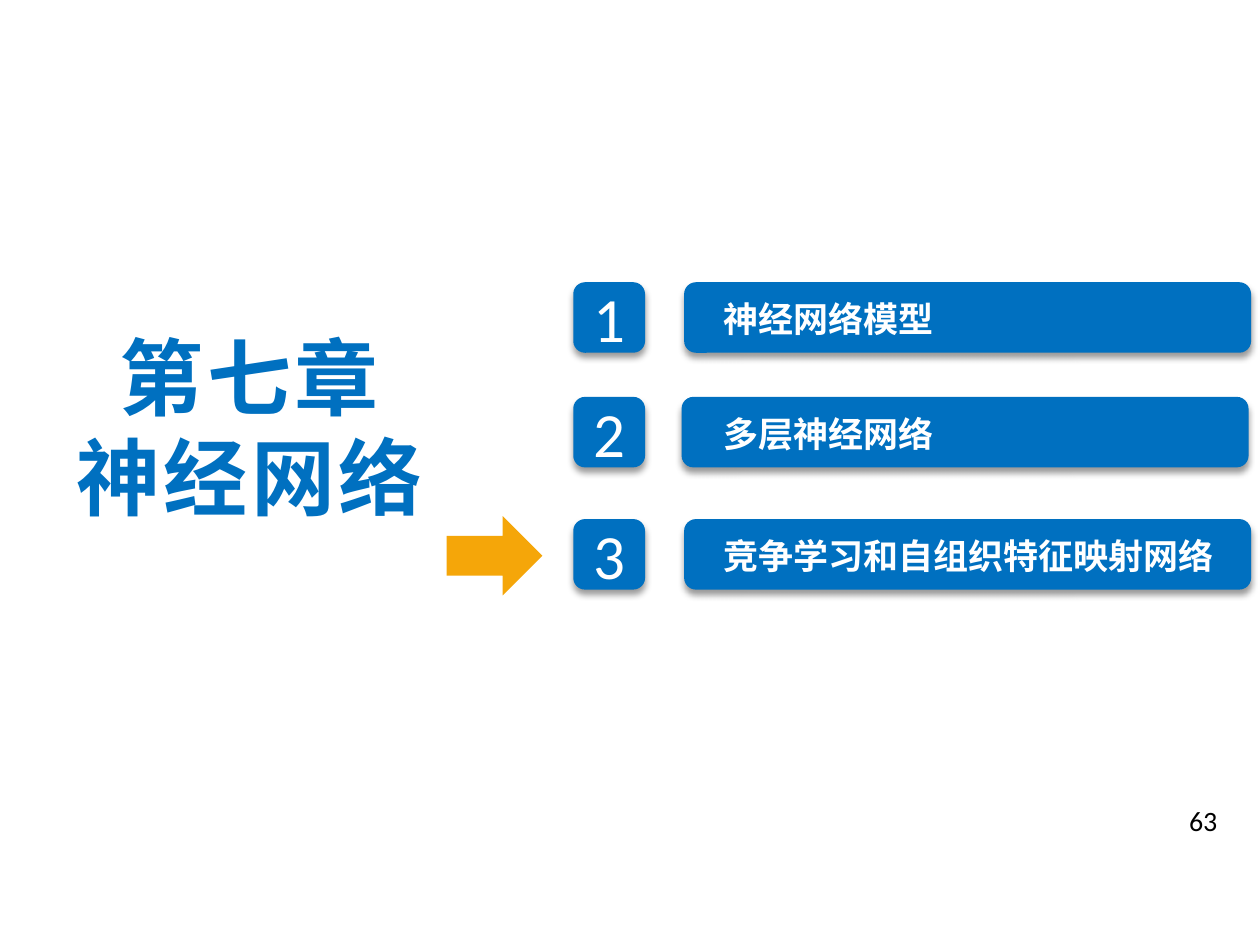
from lxml.etree import SubElement
from pptx import Presentation
from pptx.dml.color import RGBColor
from pptx.enum.shapes import MSO_SHAPE as Shape
from pptx.enum.text import MSO_ANCHOR as Anchor, PP_ALIGN as Align
from pptx.oxml.ns import qn
from pptx.util import Inches, Pt

BLUE = RGBColor(0x00, 0x70, 0xC0)
ORANGE = RGBColor(0xF5, 0xA6, 0x09)
WHITE = RGBColor(0xFF, 0xFF, 0xFF)
BLACK = RGBColor(0x00, 0x00, 0x00)
LATIN, CHINESE = "Calibri", "Noto Sans CJK SC"
WIDE_INSETS = (0.13, 0.07)

NUMBER_FORMAT = {"size": Pt(36), "name": LATIN, "bold": False}
LABEL_FORMAT = {"size": Pt(20), "name": CHINESE, "bold": True}
TITLE_FORMAT = {"size": Pt(48), "name": CHINESE, "bold": True}
PAGE_FORMAT = {"size": Pt(16), "name": LATIN, "bold": False}


def write(holder, lines, font_format, color, align, anchor=Anchor.TOP,
          insets=WIDE_INSETS, spacing=0):
    """Fill a shape's text frame with one paragraph per line."""
    frame = holder.text_frame
    side, edge = map(Inches, insets)
    frame_format = {"word_wrap": True, "vertical_anchor": anchor,
                    "margin_left": side, "margin_right": side,
                    "margin_top": edge, "margin_bottom": edge}
    for key, value in frame_format.items():
        setattr(frame, key, value)
    for index, line in enumerate(lines):
        paragraph = frame.add_paragraph() if index else frame.paragraphs[0]
        paragraph.alignment = align
        run = paragraph.add_run()
        run.text = line
        for key, value in font_format.items():
            setattr(run.font, key, value)
        run.font.color.rgb = color
        properties = run.font._element
        if spacing:
            properties.set("spc", str(spacing * 100))
        SubElement(properties, qn("a:ea"), typeface=font_format["name"])


def add_filled(shapes, kind, box, color):
    """Add a flat preset shape without an outline."""
    shape = shapes.add_shape(kind, *map(Inches, box))
    shape.shadow.inherit = False
    shape.fill.solid()
    shape.fill.fore_color.rgb = color
    shape.line.fill.background()
    return shape


def add_text(shapes, box, lines, font_format, color, align, **options):
    """Add a text box with formatted lines."""
    holder = shapes.add_textbox(*map(Inches, box))
    write(holder, lines, font_format, color, align, **options)


def add_tile(shapes, box):
    """Add a blue rounded tile with a soft shadow below it."""
    tile = add_filled(shapes, Shape.ROUNDED_RECTANGLE, box, BLUE)
    effects = tile._element.spPr.find(qn("a:effectLst"))
    shadow = SubElement(effects, qn("a:outerShdw"), blurRad=str(Pt(4)),
                        dist=str(Pt(3)), dir="5400000", algn="t",
                        rotWithShape="0")
    tint = SubElement(shadow, qn("a:srgbClr"), val=str(BLACK))
    SubElement(tint, qn("a:alpha"), val="40000")
    return tile


def add_section(slide, box, number, label, bar_left, label_height):
    """Place a numbered tile and its labelled bar in the given row."""
    left, top, width, height = box
    badge = add_tile(slide.shapes, (left, top, 0.57, height))
    write(badge, [str(number)], NUMBER_FORMAT, WHITE, Align.CENTER, Anchor.MIDDLE)
    bar = slide.shapes.add_group_shape().shapes
    add_tile(bar, (bar_left, top, width - 0.88, height))
    add_text(bar, (left + 1.06, top + 0.05, 4.2, label_height), [label],
             LABEL_FORMAT, WHITE, Align.LEFT)


def add_agenda(slide, box):
    """List the chapter's sections from the top of the box."""
    left, top, width, row_height = box
    sections = [
        ("神经网络模型", 0, 5.43, 0.47),
        ("多层神经网络", 0.91, 5.41, 0.47),
        ("竞争学习和自组织特征映射网络", 1.88, 5.43, 0.81),
    ]
    for number, (label, offset, bar_left, label_height) in enumerate(sections, 1):
        add_section(slide, (left, top + offset, width, row_height),
                    number, label, bar_left, label_height)


def add_chapter_title(slide, box):
    """Write the two-line chapter title."""
    add_text(slide.shapes, box, ["第七章", "神经网络"], TITLE_FORMAT, BLUE,
             Align.CENTER, spacing=2)


def add_current_marker(slide, box):
    """Point an arrow at the current section."""
    marker = add_filled(slide.shapes, Shape.DOWN_ARROW, box, ORANGE)
    marker.rotation = 270


def add_page_number(slide, box):
    """Write the page number at the right of the box."""
    add_text(slide.shapes, box, ["63"], PAGE_FORMAT, BLACK, Align.RIGHT,
             insets=(0.1, 0.05))


def main():
    """Build the chapter agenda slide."""
    deck = Presentation()
    deck.slide_width, deck.slide_height = Inches(10), Inches(7.5)
    slide = deck.slides.add_slide(deck.slide_layouts[6])
    add_agenda(slide, (4.55, 2.24, 5.38, 0.56))
    add_chapter_title(slide, (0, 2.51, 3.96, 1.75))
    add_current_marker(slide, (3.61, 4.03, 0.63, 0.76))
    add_page_number(slide, (7.43, 6.33, 2.33, 0.3))
    deck.save("out.pptx")


if __name__ == "__main__":
    main()
